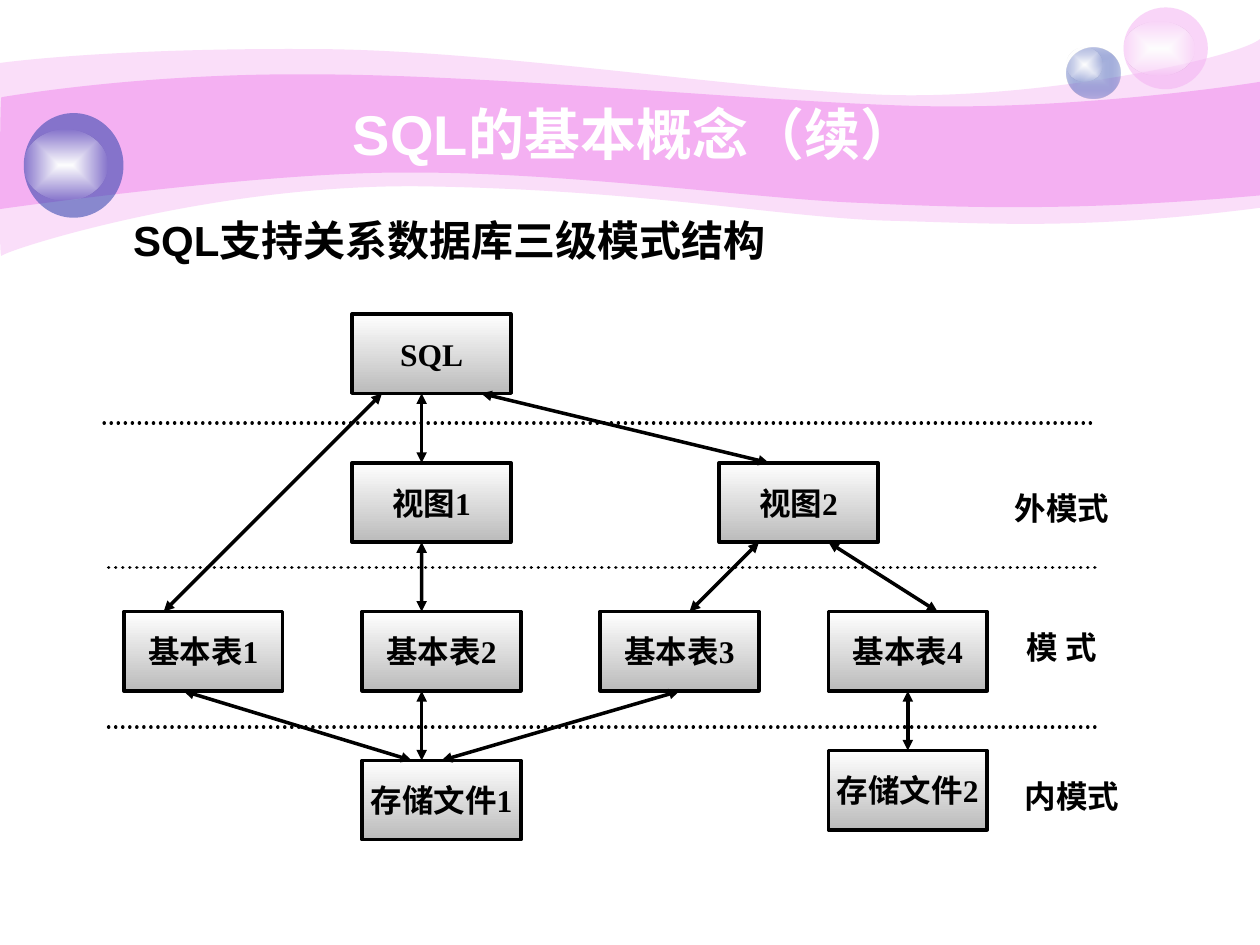
from typing import NamedTuple

from lxml.etree import SubElement
from pptx import Presentation
from pptx.dml.color import RGBColor
from pptx.enum.dml import MSO_LINE
from pptx.enum.shapes import MSO_CONNECTOR, MSO_SHAPE
from pptx.enum.text import MSO_ANCHOR, PP_ALIGN
from pptx.oxml import parse_xml
from pptx.oxml.ns import nsdecls, qn
from pptx.util import Cm, Pt

COLORS = {"white": "FFFFFF", "black": "000000", "gray": "BBBBBB",
          "pink": "F4B0F2", "blue": "233DA9", "pale": "C7CEE9"}
FORMATS = {
    "title": {"name": "Arial", "size": Pt(32), "bold": True},
    "subtitle": {"name": "Arial", "size": Pt(24), "bold": True},
    "diagram": {"name": "Times New Roman", "size": Pt(18), "bold": True},
}
BOX_WIDTH, BOX_HEIGHT = 3.2, 1.6
MIDDLE = BOX_WIDTH / 2
ROWS = [6.33 + 3 * row for row in range(4)]
BOTTOM_SITE, TOP_SITE = 2, 0
LINE_WIDTH = Pt(2)


class Stop(NamedTuple):
    color: str
    opacity: int = 100


class Ball(NamedTuple):
    left: float
    top: float
    width: float
    height: float
    stops: tuple[Stop, ...]


class Box(NamedTuple):
    text: str
    left: float
    top: float


class Arrow(NamedTuple):
    """Link between two boxes; offsets run from each box's left edge."""
    upper: str
    upper_offset: float
    lower: str
    lower_offset: float


class Label(NamedTuple):
    text: str
    left: float
    top: float
    width: float
    height: float
    style: str = "diagram"
    color: str = "black"
    wrap: bool = True
    spacing: float = 1.0


# A segment with three points is a Bézier curve, with one point a straight line.
OUTER_BAND = ((0, 1.27), (
    ((0.61, 1.19), (2.72, 0.97), (6.27, 0.99)),
    ((9.8, 0.99), (14.61, 1.78), (17.75, 1.91)),
    ((20.88, 2.03), (24.89, 1.19), (25.4, 0.79)),
    ((25.4, 4.19),),
    ((21.79, 4.65), (19.99, 4.5), (17.91, 4.45)),
    ((15.8, 4.39), (13.08, 3.84), (8.71, 3.76)),
    ((4.37, 3.66), (0.1, 5.05), (0.03, 5.16)),
    ((-0.03, 5.28), (0, 1.9), (0, 1.27)),
))
INNER_BAND = ((0.03, 1.96), (
    ((0.05, 1.96), (2.79, 1.47), (6.3, 1.5)),
    ((9.8, 1.5), (15.11, 2.03), (18.24, 2.13)),
    ((21.36, 2.24), (24.79, 1.75), (25.4, 1.65)),
    ((25.4, 3.94),),
    ((21.67, 4.27), (19.43, 4.19), (17.32, 4.09)),
    ((15.21, 4.01), (11.35, 3.45), (8.05, 3.48)),
    ((5.16, 3.48), (-0.05, 4.22), (-0.03, 4.22)),
    ((0, 4.22), (0, 1.96), (0.03, 1.96)),
))
GLOW = (Stop("white"), Stop("white", 0))
BALLS = [
    Ball(21.51, 0.96, 1.07, 1.02, (Stop("pale"), Stop("blue", 31))),
    Ball(21.51, 0.96, 0.71, 0.69, GLOW),
    Ball(22.65, 0.15, 1.7, 1.65, (Stop("pink", 53),)),
    Ball(22.65, 0.43, 1.42, 1.09, GLOW),
    Ball(0.48, 2.28, 2.01, 2.11, (Stop("blue", 53),)),
    Ball(0.48, 2.62, 1.68, 1.42, GLOW),
]
BOXES = [
    Box("SQL", 7.1, ROWS[0]),
    Box("视图2", 14.5, ROWS[1]),
    Box("视图1", 7.1, ROWS[1]),
    Box("基本表2", 7.3, ROWS[2]),
    Box("基本表1", 2.5, ROWS[2]),
    Box("基本表3", 12.1, ROWS[2]),
    Box("基本表4", 16.7, ROWS[2]),
    Box("存储文件2", 16.7, 15.13),
    Box("存储文件1", 7.3, ROWS[3]),
]
ARROWS = [
    Arrow("SQL", 0.6, "基本表1", 0.8),
    Arrow("SQL", 1.4, "视图1", 1.4),
    Arrow("视图1", 1.4, "基本表2", 1.2),
    Arrow("基本表2", 1.2, "存储文件1", 1.2),
    Arrow("SQL", 2.6, "视图2", 1),
    Arrow("视图2", 0.8, "基本表3", 1.8),
    Arrow("视图2", 2.2, "基本表4", 2.2),
    Arrow("基本表1", 1.2, "存储文件1", 1),
    Arrow("基本表3", MIDDLE, "存储文件1", MIDDLE),
    Arrow("基本表4", MIDDLE, "存储文件2", MIDDLE),
]
DIVIDERS = [(2.1, 8.53), (2.19, 11.44), (2.19, 14.66)]
DIVIDER_LENGTH = 20
LABELS = [
    Label("外模式", 19.91, 9.73, 3, 1.02),
    Label("模 式", 19.91, 12.53, 3, 1.02),
    Label("内模式", 20.11, 15.53, 3, 1.02),
    Label("SQL的基本概念（续）", 2.54, 1.89, 20.52, 1.57, "title", "white"),
    Label("SQL支持关系数据库三级模式结构", 2.33, 3.8, 13.46, 1.68,
          "subtitle", wrap=False, spacing=1.4),
]


def rgb(color: str) -> RGBColor:
    return RGBColor.from_string(COLORS[color])


def paint(shape, stops: tuple[Stop, ...], direction: str) -> None:
    """Fill with one colour, or with a gradient along the direction element."""
    colors = [f'<a:srgbClr val="{COLORS[stop.color]}">'
              f'<a:alpha val="{stop.opacity * 1000}"/></a:srgbClr>' for stop in stops]
    if len(colors) == 1:
        xml = f'<a:solidFill {nsdecls("a")}>{colors[0]}</a:solidFill>'
    else:
        xml = (f'<a:gradFill {nsdecls("a")} rotWithShape="1"><a:gsLst>'
               f'<a:gs pos="0">{colors[0]}</a:gs><a:gs pos="100000">{colors[1]}</a:gs>'
               f'</a:gsLst>{direction}</a:gradFill>')
    shape.shadow.inherit = False
    shape.fill.background()
    properties = shape._element.spPr
    properties.replace(properties.find(qn("a:noFill")), parse_xml(xml))


RADIAL = ('<a:path path="rect"><a:fillToRect l="50000" t="50000" r="50000" b="50000"/>'
          '</a:path>')
DOWNWARD = '<a:lin ang="5400000" scaled="1"/>'


def draw_band(shapes, band: tuple, opacity: int) -> None:
    """Draw the outline through all points, then turn its triples into curves."""
    start, segments = band
    builder = shapes.build_freeform(*map(Cm, start))
    builder.add_line_segments([(Cm(x), Cm(y)) for segment in segments for x, y in segment])
    shape = builder.convert_to_shape()
    lines = iter(list(shape._element.iter(qn("a:lnTo"))))
    for segment in segments:
        parts = [next(lines) for _ in segment]
        if len(parts) == 3:
            curve = parts[0].makeelement(qn("a:cubicBezTo"))
            parts[0].addprevious(curve)
            for part in parts:
                curve.append(part[0])
                part.getparent().remove(part)
    paint(shape, (Stop("pink", opacity),), RADIAL)
    shape.line.fill.background()


def draw_ball(shapes, ball: Ball) -> None:
    shape = shapes.add_shape(MSO_SHAPE.OVAL, *map(Cm, ball[:4]))
    paint(shape, ball.stops, RADIAL)
    shape.line.fill.background()


def write(shape, text: str, style: str, color: str, wrap: bool, spacing: float = 1.0) -> None:
    frame = shape.text_frame
    frame.word_wrap = wrap
    paragraph = frame.paragraphs[0]
    paragraph.text = text
    paragraph.alignment = PP_ALIGN.CENTER
    paragraph.line_spacing = spacing
    font = paragraph.runs[0].font
    for name, value in FORMATS[style].items():
        setattr(font, name, value)
    font.color.rgb = rgb(color)


def draw_box(shapes, box: Box):
    shape = shapes.add_shape(MSO_SHAPE.RECTANGLE, Cm(box.left), Cm(box.top),
                             Cm(BOX_WIDTH), Cm(BOX_HEIGHT))
    paint(shape, (Stop("white"), Stop("gray")), DOWNWARD)
    shape.line.color.rgb = rgb("black")
    shape.line.width = LINE_WIDTH
    shape.text_frame.vertical_anchor = MSO_ANCHOR.MIDDLE
    write(shape, box.text, "diagram", "black", wrap=False)
    return shape


def draw_line(shapes, *ends: int):
    line = shapes.add_connector(MSO_CONNECTOR.STRAIGHT, *ends)
    line.line.color.rgb = rgb("black")
    line.line.width = LINE_WIDTH
    SubElement(line._element.spPr, qn("a:effectLst"))
    return line


def draw_arrow(shapes, arrow: Arrow, boxes: dict) -> None:
    upper, lower = boxes[arrow.upper], boxes[arrow.lower]
    line = draw_line(shapes, upper.left + Cm(arrow.upper_offset), upper.top + upper.height,
                     lower.left + Cm(arrow.lower_offset), lower.top)
    if arrow.upper_offset == MIDDLE:
        line.begin_connect(upper, BOTTOM_SITE)
    if arrow.lower_offset == MIDDLE:
        line.end_connect(lower, TOP_SITE)
    for end in ("a:headEnd", "a:tailEnd"):
        SubElement(line.line._get_or_add_ln(), qn(end), type="triangle")


def draw_divider(shapes, left: float, top: float) -> None:
    divider = draw_line(shapes, Cm(left), Cm(top), Cm(left + DIVIDER_LENGTH), Cm(top))
    divider.line.dash_style = MSO_LINE.ROUND_DOT
    divider.line._get_or_add_ln().set("cap", "rnd")


def draw_label(shapes, label: Label) -> None:
    shape = shapes.add_textbox(*map(Cm, label[1:5]))
    if label.style == "title":
        shape.text_frame.vertical_anchor = MSO_ANCHOR.MIDDLE
    write(shape, label.text, label.style, label.color, label.wrap, label.spacing)


def main() -> None:
    presentation = Presentation()
    presentation.slide_width, presentation.slide_height = Cm(25.4), Cm(19.05)
    shapes = presentation.slides.add_slide(presentation.slide_layouts[6]).shapes
    draw_band(shapes, OUTER_BAND, 41)
    draw_band(shapes, INNER_BAND, 100)
    for ball in BALLS:
        draw_ball(shapes, ball)
    boxes = {box.text: draw_box(shapes, box) for box in BOXES}
    for arrow in ARROWS:
        draw_arrow(shapes, arrow, boxes)
    for left, top in DIVIDERS:
        draw_divider(shapes, left, top)
    for label in LABELS:
        draw_label(shapes, label)
    presentation.save("out.pptx")


if __name__ == "__main__":
    main()
